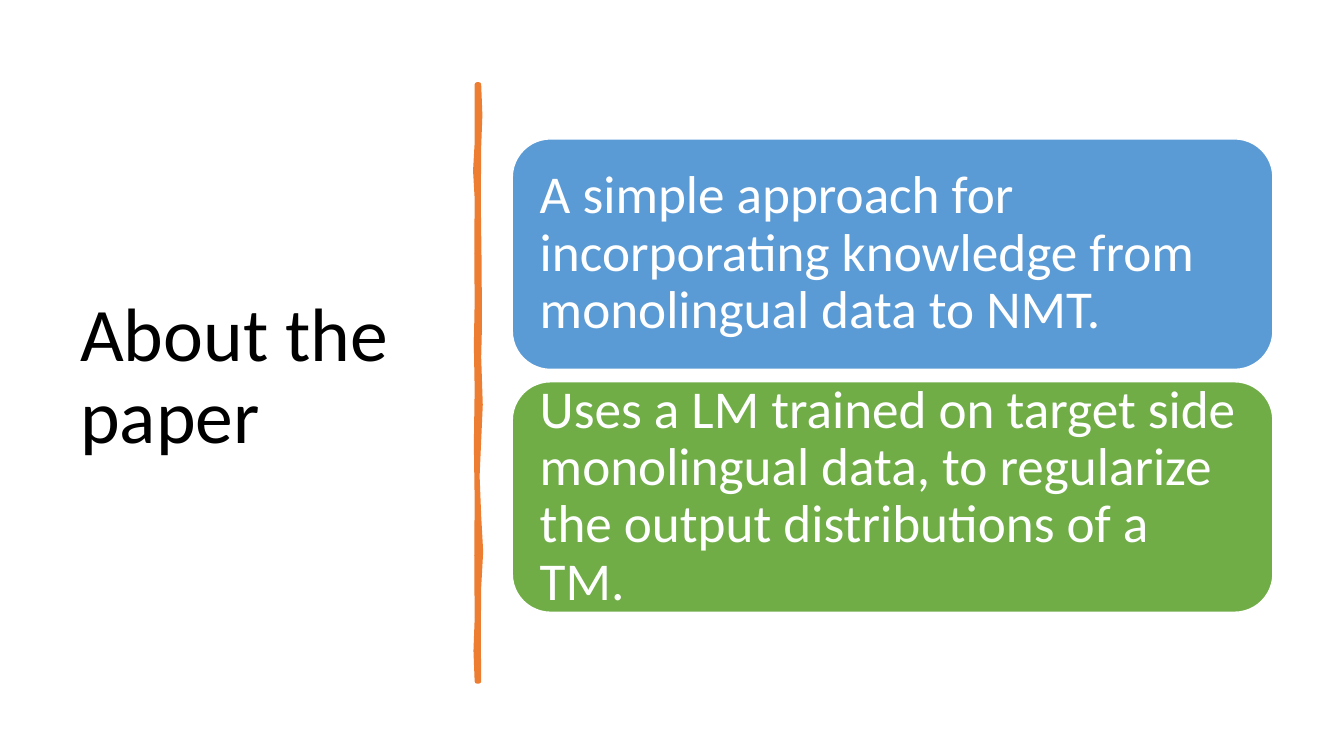
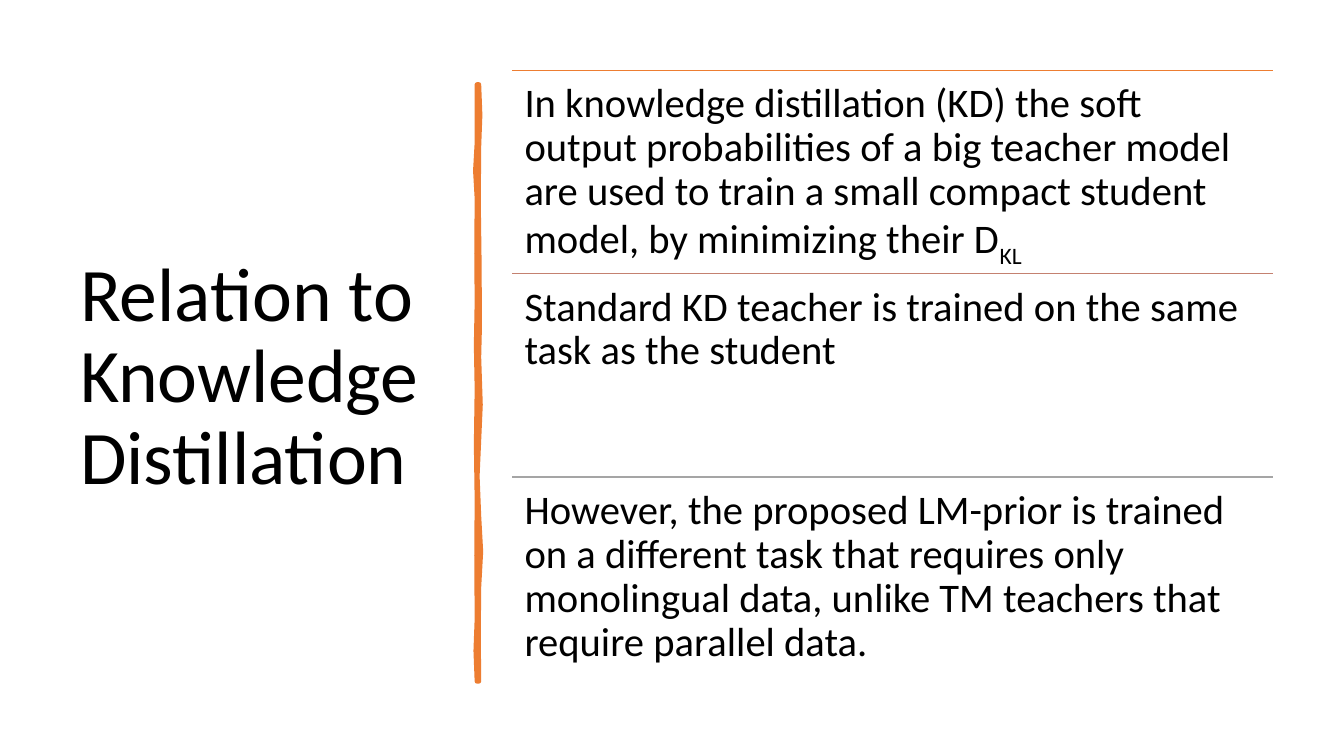
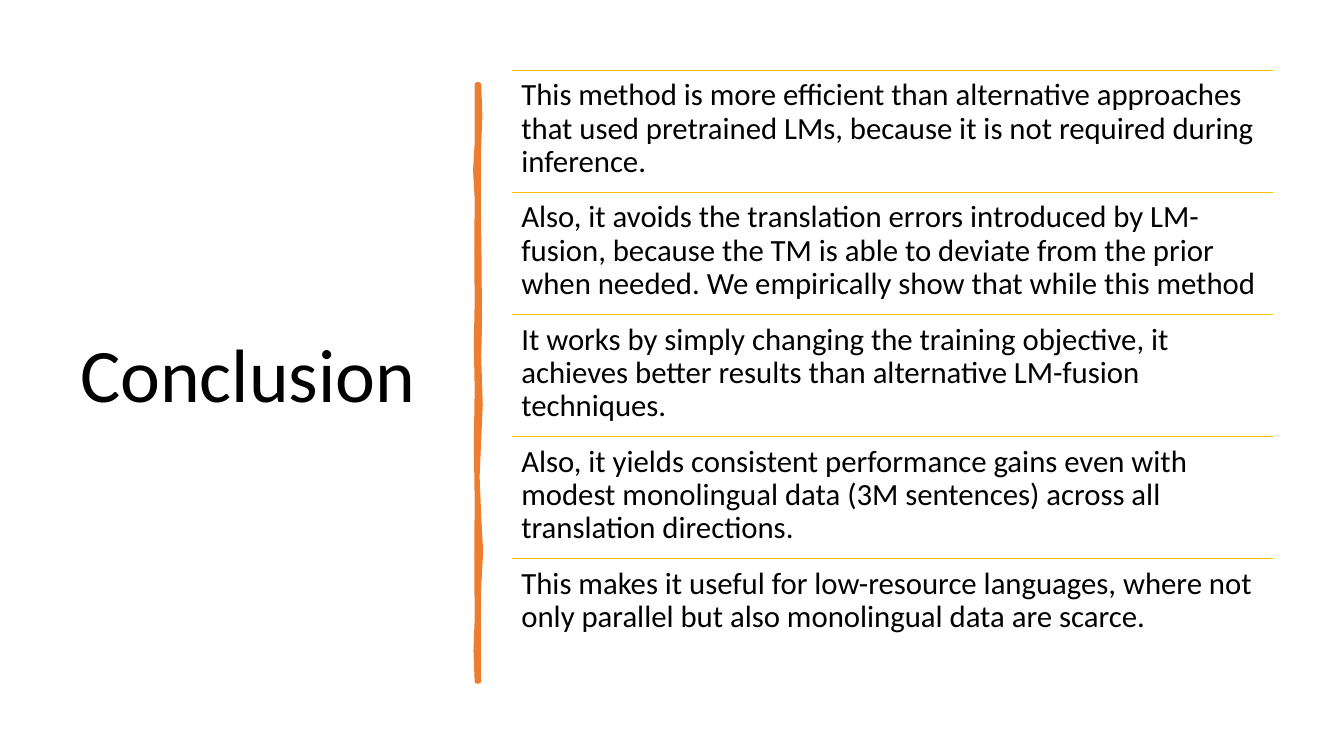
"""Build three slides on language-model priors for translation."""
from lxml import etree
from pptx import Presentation
from pptx.dml.color import RGBColor
from pptx.enum.shapes import MSO_CONNECTOR, MSO_SHAPE
from pptx.enum.text import MSO_ANCHOR, MSO_AUTO_SIZE, PP_ALIGN
from pptx.oxml.ns import qn
from pptx.util import Cm, Pt

STRAIGHT = MSO_CONNECTOR.STRAIGHT
ROUND = MSO_SHAPE.ROUNDED_RECTANGLE
MIDDLE, TOP = MSO_ANCHOR.MIDDLE, MSO_ANCHOR.TOP
FIXED = MSO_AUTO_SIZE.NONE
LEFT = PP_ALIGN.LEFT

FONT = "Calibri"
BLACK, WHITE, ORANGE = "000000", "FFFFFF", "ED7D31"
BLUE, GREEN, BROWN, GREY, GOLD = "5B9BD5", "70AD47", "C48170", "A5A5A5", "FFC000"
BODY_X, BODY_W = 12.91, 19.17
ROWS_Y, ROWS_H = 1.77, 15.38

SPINE = [
    (12.07, 2.13), (12.1, 2.9), (12.07, 3.7), (12.06, 5.1), (12.08, 6.6),
    (12.09, 8.2), (12.07, 9), (12.11, 10.2), (12.07, 11.1), (12.03, 12),
    (12.07, 13), (12.12, 13.9), (12.07, 14.8), (12.06, 16), (12.07, 17.17),
    (12.02, 17.17), (11.99, 16.4), (12.02, 15.6), (12.01, 14), (12.02, 12.6),
    (12, 11.2), (12.02, 9.8), (12, 8.7), (12.02, 7.6), (12.01, 6.4),
    (12.02, 5), (11.98, 4.3), (12.02, 3.6), (12.02, 2.13),
]

CARDS = [
    (BLUE, "A simple approach for incorporating knowledge from monolingual "
           "data to NMT."),
    (GREEN, "Uses a LM trained on target side monolingual data, to regularize "
            "the output distributions of a TM."),
]

RELATION = [
    (ORANGE, "In knowledge distillation (KD) the soft output probabilities of "
             "a big teacher model are used to train a small compact student "
             "model, by minimizing their D"),
    (BROWN, "Standard KD teacher is trained on the same task as the student"),
    (GREY, "However, the proposed LM-prior is trained on a different task that "
           "requires only monolingual data, unlike TM teachers that require "
           "parallel data."),
]

POINTS = [
    "This method is more efficient than alternative approaches that used "
    "pretrained LMs, because it is not required during inference.",
    "Also, it avoids the translation errors introduced by LM-fusion, because "
    "the TM is able to deviate from the prior when needed. We empirically show "
    "that while this method",
    "It works by simply changing the training objective, it achieves better "
    "results than alternative LM-fusion techniques.",
    "Also, it yields consistent performance gains even with modest monolingual "
    "data (3M sentences) across all translation directions.",
    "This makes it useful for low-resource languages, where not only parallel "
    "but also monolingual data are scarce.",
]


def rgb(code):
    """Turn a hex string into a colour."""
    return RGBColor.from_string(code)


def style(run, size, color):
    """Set the font of one run."""
    run.font.name = FONT
    run.font.size = Pt(size)
    run.font.color.rgb = rgb(color)


def write(shape, text, size, color, anchor, pad_x, pad_y):
    """Put one wrapped, left-aligned paragraph into a shape."""
    frame = shape.text_frame
    frame.text = text
    frame.word_wrap = True
    frame.auto_size = FIXED
    frame.vertical_anchor = anchor
    frame.margin_left = frame.margin_right = Cm(pad_x)
    frame.margin_top = frame.margin_bottom = Cm(pad_y)
    para = frame.paragraphs[0]
    para.alignment = LEFT
    para.line_spacing = 0.9
    style(para.runs[0], size, color)
    return para


def paint(shape, fill, line, width):
    """Set fill and outline and drop the shadow."""
    shape.shadow.inherit = False
    shape.fill.solid()
    shape.fill.fore_color.rgb = rgb(fill)
    shape.line.color.rgb = rgb(line)
    shape.line.width = Pt(width)


def add_spine(slide):
    """Draw the hand-drawn upright stroke beside the title."""
    first, *rest = [(Cm(x), Cm(y)) for x, y in SPINE]
    pen = slide.shapes.build_freeform(*first)
    pen.add_line_segments(rest, close=True)
    stroke = pen.convert_to_shape()
    paint(stroke, ORANGE, ORANGE, 3.25)
    etree.SubElement(stroke._element.spPr.find(qn("a:ln")), qn("a:round"))


def add_page(deck, name):
    """Add a slide with its title and spine."""
    slide = deck.slides.add_slide(deck.slide_layouts[5])
    title = slide.shapes.title
    title.left, title.top = Cm(1.77), Cm(1.77)
    title.width, title.height = Cm(9.5), Cm(15.52)
    write(title, name, 54, BLACK, MIDDLE, 0.25, 0.13)
    add_spine(slide)
    return slide


def add_card(slide, top, fill, text):
    """Add a filled rounded card."""
    card = slide.shapes.add_shape(
        ROUND, Cm(BODY_X), Cm(top), Cm(BODY_W), Cm(5.81))
    paint(card, fill, WHITE, 1)
    write(card, text, 38, WHITE, MIDDLE, 0.41, 0)


def add_rule(slide, top, color):
    """Draw a thin line across the body."""
    rule = slide.shapes.add_connector(
        STRAIGHT, Cm(BODY_X), Cm(top), Cm(BODY_X + BODY_W), Cm(top))
    rule.line.color.rgb = rgb(color)
    rule.line.width = Pt(1)
    etree.SubElement(rule._element.spPr, qn("a:effectLst"))


def add_rows(slide, rows, size, pad):
    """Stack ruled rows of equal height and return their paragraphs."""
    step = ROWS_H / len(rows)
    paras = []
    for i, (color, text) in enumerate(rows):
        top = ROWS_Y + i * step
        add_rule(slide, top, color)
        box = slide.shapes.add_textbox(
            Cm(BODY_X), Cm(top), Cm(BODY_W), Cm(step))
        paras.append(write(box, text, size, BLACK, TOP, pad, pad))
    return paras


def add_sub(para, text, size):
    """Append a subscript run to a paragraph."""
    run = para.add_run()
    run.text = text
    style(run, size, BLACK)
    run.font._element.set("baseline", "-25000")


def main():
    """Build and save the deck."""
    deck = Presentation()
    deck.slide_width, deck.slide_height = Cm(33.87), Cm(19.05)

    about = add_page(deck, "About the paper")
    for i, (fill, text) in enumerate(CARDS):
        add_card(about, 3.5 + i * 6.12, fill, text)

    relation = add_page(deck, "Relation to Knowledge Distillation")
    paras = add_rows(relation, RELATION, 29, 0.31)
    add_sub(paras[0], "KL", 29)

    ending = add_page(deck, "Conclusion")
    add_rows(ending, [(GOLD, text) for text in POINTS], 22, 0.23)

    deck.save("out.pptx")


main()
